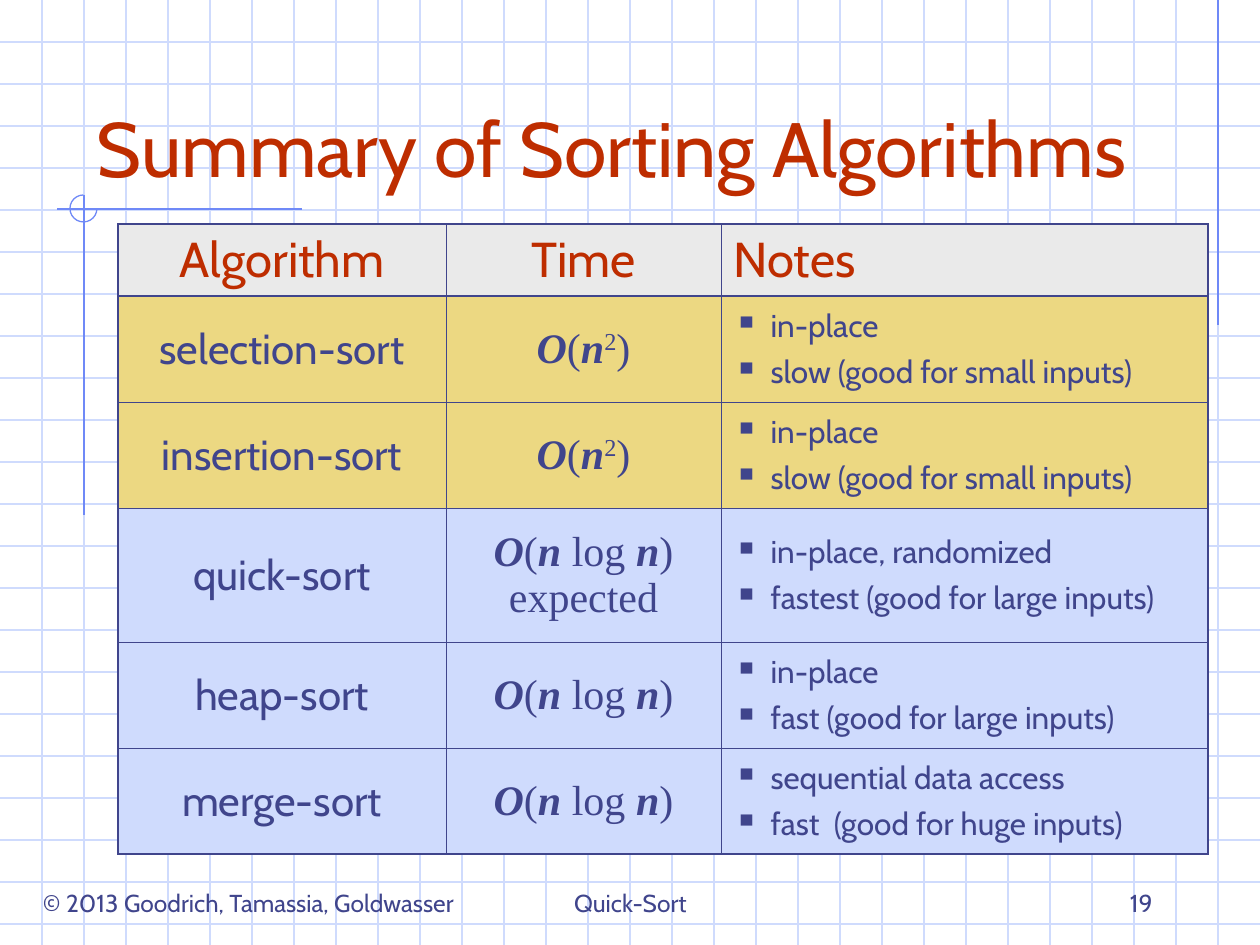
from typing import NamedTuple

from lxml import etree
from pptx import Presentation
from pptx.dml.color import RGBColor
from pptx.enum import shapes, text
from pptx.oxml import ns
from pptx.util import Pt

PX = 914400 / 126
WIDTH, HEIGHT, STEP = 1260, 945, 42
NAVY = RGBColor(0x40, 0x45, 0x8C)
RED = RGBColor(0xBE, 0x2D, 0x00)
GRID = RGBColor(0xCF, 0xDB, 0xFD)
ACCENT = RGBColor(0x6F, 0x89, 0xF7)
GRAY = RGBColor(0xEA, 0xEA, 0xEA)
GOLD = RGBColor(0xEC, 0xD8, 0x82)
SANS, SERIF = "Cabin", "Times New Roman"
LEFT, CENTER, RIGHT = text.PP_ALIGN.LEFT, text.PP_ALIGN.CENTER, text.PP_ALIGN.RIGHT
TOP, MIDDLE, BOTTOM = text.MSO_ANCHOR.TOP, text.MSO_ANCHOR.MIDDLE, text.MSO_ANCHOR.BOTTOM


class Line(NamedTuple):
    x1: int
    y1: int
    x2: int
    y2: int
    color: RGBColor


class Footer(NamedTuple):
    text: str
    box: tuple[int, int, int, int]
    align: text.PP_ALIGN
    anchor: text.MSO_ANCHOR


class Algorithm(NamedTuple):
    name: str
    time: str
    notes: tuple[str, str]
    fill: RGBColor
    height: int = 106


SQUARED = "O|(|n|^2|)"
LOG = "O|(|n| log |n|)"
LINES = [Line(0, y, WIDTH, y, GRID) for y in range(STEP, HEIGHT, STEP)]
LINES += [Line(x, 0, x, HEIGHT, GRID) for x in range(STEP, WIDTH, STEP)]
LINES += [
    Line(1218, 0, 1218, 325, ACCENT),
    Line(302, 209, 57, 209, ACCENT),
    Line(84, 195, 84, 515, ACCENT),
]
FOOTERS = [
    Footer("© 2013 Goodrich, Tamassia, Goldwasser", (4, 882, 489, 43), CENTER, TOP),
    Footer("Quick-Sort", (431, 861, 399, 63), CENTER, BOTTOM),
    Footer("19", (903, 861, 262, 63), RIGHT, BOTTOM),
]
HEADINGS = [("Algorithm", CENTER), ("Time", CENTER), ("Notes", LEFT)]
ALGORITHMS = [
    Algorithm("selection-sort", SQUARED, ("in-place", "slow (good for small inputs)"), GOLD),
    Algorithm("insertion-sort", SQUARED, ("in-place", "slow (good for small inputs)"), GOLD),
    Algorithm("quick-sort", LOG + "|\n|expected",
              ("in-place, randomized", "fastest (good for large inputs)"), GRID, 134),
    Algorithm("heap-sort", LOG, ("in-place", "fast (good for large inputs)"), GRID),
    Algorithm("merge-sort", LOG, ("sequential data access", "fast  (good for huge inputs)"), GRID),
]
COLUMNS = [328, 275, 487]
HEADER_HEIGHT = 72


def emu(*values: int) -> list[int]:
    return [round(v * PX) for v in values]


def set_attrs(obj, values: dict) -> None:
    for name, value in values.items():
        setattr(obj, name, value)


def add_run(p, content: str, size: int, color: RGBColor, name: str = SANS, **extra):
    r = p.add_run()
    r.text = content
    set_attrs(r.font, {"name": name, "size": Pt(size), **extra})
    r.font.color.rgb = color
    return r


def add_formula(p, formula: str) -> None:
    for part in formula.split("|"):
        if part == "\n":
            p.add_line_break()
            continue
        variable = part in ("O", "n")
        r = add_run(p, part.lstrip("^"), 24, NAVY, SERIF, bold=variable, italic=variable)
        if part.startswith("^"):
            r.font._element.set("baseline", "30000")


def add_notes(tf, notes: tuple[str, str]) -> None:
    for i, note in enumerate(notes):
        p = tf.add_paragraph() if i else tf.paragraphs[0]
        indent, = emu(37)
        pPr = p._p.get_or_add_pPr()
        pPr.set("marL", str(indent))
        pPr.set("indent", str(-indent))
        if i:
            p.space_before = Pt(4.5)
        color = etree.SubElement(pPr, ns.qn("a:buClr"))
        etree.SubElement(color, ns.qn("a:srgbClr"), val=str(NAVY))
        etree.SubElement(pPr, ns.qn("a:buSzPct"), val="110000")
        etree.SubElement(pPr, ns.qn("a:buChar"), char="▪")
        add_run(p, note, 18, NAVY)


def add_line(s, line: Line) -> None:
    sp = s.shapes.add_connector(shapes.MSO_CONNECTOR.STRAIGHT, *emu(*line[:4]))
    sp.line.color.rgb = line.color
    sp.line.width = Pt(0.75)
    etree.SubElement(sp._element.spPr, ns.qn("a:effectLst"))


def add_arc(s) -> None:
    sp = s.shapes.add_shape(shapes.MSO_SHAPE.ARC, *emu(70, 195, 27, 27))
    sp.adjustments[0], sp.adjustments[1] = 0, 162
    sp.shadow.inherit = False
    sp.fill.background()
    sp.line.color.rgb = ACCENT
    sp.line.width = Pt(0.75)


def add_footer(s, footer: Footer) -> None:
    tf = s.shapes.add_textbox(*emu(*footer.box)).text_frame
    set_attrs(tf, {"word_wrap": True, "vertical_anchor": footer.anchor})
    p = tf.paragraphs[0]
    p.alignment = footer.align
    add_run(p, footer.text, 14, NAVY)


def style_cell(cell, fill: RGBColor, thick: set[str]) -> None:
    cell.vertical_anchor = MIDDLE
    cell.fill.solid()
    cell.fill.fore_color.rgb = fill
    tcPr = cell._tc.get_or_add_tcPr()
    for i, side in enumerate("LRTB"):
        width = Pt(1.08 if side in thick else 0.45)
        ln = etree.Element(ns.qn(f"a:ln{side}"), w=str(width))
        solid = etree.SubElement(ln, ns.qn("a:solidFill"))
        etree.SubElement(solid, ns.qn("a:srgbClr"), val=str(NAVY))
        tcPr.insert(i, ln)


def add_summary(s) -> None:
    heights = [HEADER_HEIGHT] + [a.height for a in ALGORITHMS]
    fills = [GRAY] + [a.fill for a in ALGORITHMS]
    last_row, last_col = len(heights) - 1, len(COLUMNS) - 1
    frame = s.shapes.add_table(len(heights), len(COLUMNS),
                               *emu(118, 224, sum(COLUMNS), sum(heights)))
    table = frame.table
    set_attrs(table, {"first_row": False, "horz_banding": False})
    for column, width in zip(table.columns, emu(*COLUMNS)):
        column.width = width
    for i, height in enumerate(emu(*heights)):
        table.rows[i].height = height
        for j in range(len(COLUMNS)):
            edges = {"L": j == 0, "R": j == last_col, "T": i <= 1, "B": i in (0, last_row)}
            style_cell(table.cell(i, j), fills[i], {k for k, on in edges.items() if on})
            table.cell(i, j).text_frame.paragraphs[0].alignment = HEADINGS[j][1]
    for j, (heading, _) in enumerate(HEADINGS):
        add_run(table.cell(0, j).text_frame.paragraphs[0], heading, 28, RED)
    for i, algorithm in enumerate(ALGORITHMS, 1):
        name, time, notes = [table.cell(i, j).text_frame for j in range(3)]
        add_run(name.paragraphs[0], algorithm.name, 24, NAVY)
        add_formula(time.paragraphs[0], algorithm.time)
        add_notes(notes, algorithm.notes)


def add_title(s) -> None:
    sp = s.shapes.title
    s.shapes._spTree.append(sp._element)
    set_attrs(sp, dict(zip(("left", "top", "width", "height"), emu(84, 42, 1113, 157))))
    tf = sp.text_frame
    set_attrs(tf, {"word_wrap": True, "vertical_anchor": BOTTOM,
                   "auto_size": text.MSO_AUTO_SIZE.NONE})
    p = tf.paragraphs[0]
    p.alignment = LEFT
    add_run(p, "Summary of Sorting Algorithms", 44, RED)


def main() -> None:
    prs = Presentation()
    prs.slide_width, prs.slide_height = emu(WIDTH, HEIGHT)
    s = prs.slides.add_slide(prs.slide_layouts[5])
    for line in LINES:
        add_line(s, line)
    add_arc(s)
    for footer in FOOTERS:
        add_footer(s, footer)
    add_title(s)
    add_summary(s)
    prs.save("out.pptx")


if __name__ == "__main__":
    main()
